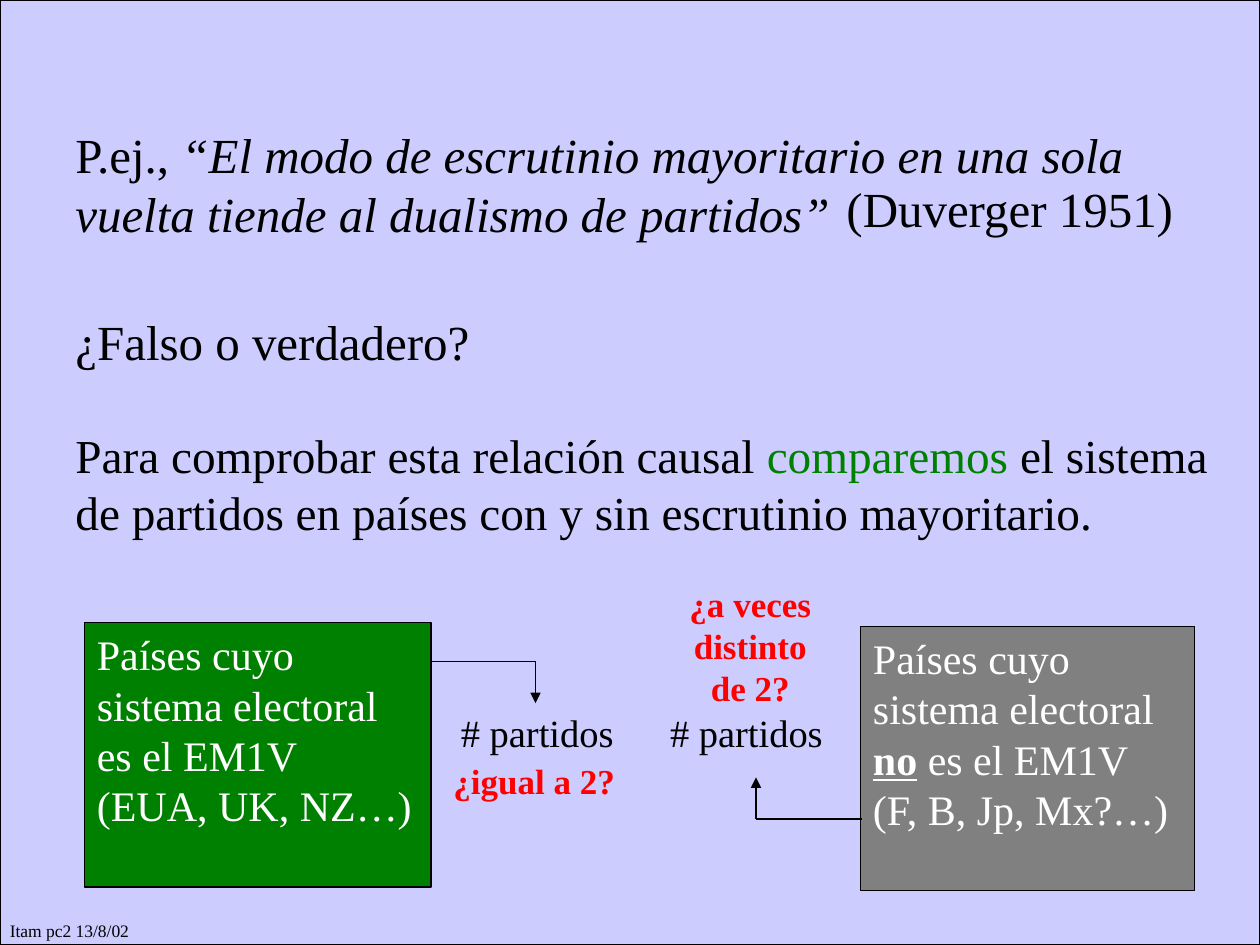
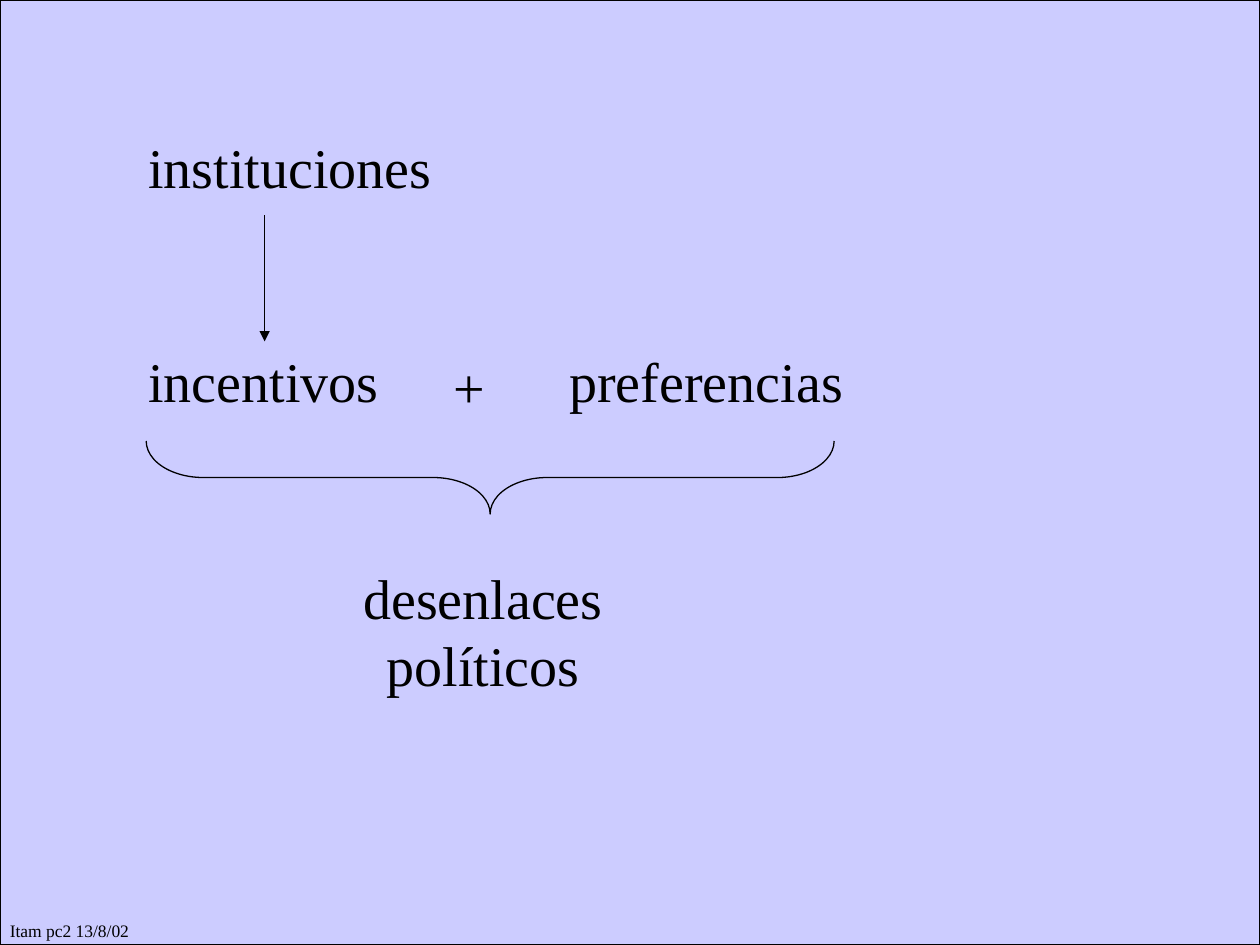
from dataclasses import dataclass

from lxml.etree import SubElement
from pptx import Presentation
from pptx.dml.color import RGBColor
from pptx.enum.shapes import MSO_CONNECTOR as Connector, MSO_SHAPE as Shape
from pptx.enum.text import MSO_ANCHOR as Anchor, PP_ALIGN as Align
from pptx.oxml.ns import qn
from pptx.util import Inches, Pt


@dataclass(frozen=True)
class Theme:
    font: str = "Times New Roman"
    background: str = "CCCCFF"
    ink: str = "000000"
    white: str = "FFFFFF"
    green: str = "008000"
    gray: str = "808080"
    red: str = "FF0000"
    footer: int = 10
    answer: int = 20
    label: int = 22
    country: int = 24
    detail: int = 27
    body: int = 28
    concept: int = 32
    leading: float = 1.2
    line: float = 0.75


THEME = Theme()

# Content: a paragraph is a list of (text, style) runs; "\n" breaks a line
FOOTER = "Itam pc2 13/8/02"
QUOTE = [[
    ("P.ej.,", {}),
    (" “El modo de escrutinio mayoritario en una sola vuelta "
     "tiende al dualismo de partidos”", {"italic": True}),
]]
CITATION = [[("(Duverger 1951)", {})]]
QUESTION = [
    [("¿Falso o verdadero?", {})],
    [("Para comprobar esta relación causal ", {"size": THEME.detail}),
     ("comparemos", {"size": THEME.detail, "color": THEME.green}),
     (" el sistema de partidos en países con y sin escrutinio mayoritario.",
      {"size": THEME.detail})],
]
COUNTRIES = [
    ((0.67, 4.94, 2.75, 2.1), THEME.green,
     [[("Países cuyo\nsistema electoral\nes el EM1V\n(EUA, UK, NZ…)", {})]]),
    ((6.83, 4.97, 2.65, 2.1), THEME.gray,
     [[("Países cuyo\nsistema electoral\n", {}),
       ("no", {"bold": True, "underline": True}),
       (" es el EM1V\n(F, B, Jp, Mx?…)", {})]]),
]
PARTY_LABEL = "# partidos"
PARTY_LEFTS = (3.56, 5.22)
ANSWERS = [
    ((3.5, 5.98, 1.58, 0.44), "¿igual a 2?", Align.LEFT),
    ((5.33, 4.57, 1.25, 1.1), "¿a veces distinto\nde 2?", Align.CENTER),
]
# Each elbow runs start, corner, arrow tip
ELBOWS = [
    ((3.42, 5.25), (4.25, 5.25), (4.25, 5.58)),
    ((6.84, 6.5), (6, 6.5), (6, 6.17)),
]
CONCEPTS = [
    ((1.08, 1, 2.67, 0.64), "instituciones", Align.LEFT),
    ((1.08, 2.7, 2.33, 0.64), "incentivos", Align.LEFT),
    ((4.42, 2.7, 2.67, 0.64), "preferencias", Align.LEFT),
    ((3.5, 2.75, 0.5, 0.64), "+", Align.LEFT),
    ((2.5, 4.42, 2.67, 1.17), "desenlaces políticos", Align.CENTER),
]


def color(value):
    return RGBColor.from_string(value)


def place(box):
    return [Inches(length) for length in box]


def write(frame, paragraphs, size, ink=THEME.ink, align=Align.LEFT, gap=0):
    """Fill a text frame run by run."""
    frame.word_wrap = True
    frame.vertical_anchor = Anchor.TOP
    for index, runs in enumerate(paragraphs):
        paragraph = frame.add_paragraph() if index else frame.paragraphs[0]
        paragraph.alignment = align
        paragraph_size = runs[0][1].get("size", size)
        paragraph.line_spacing = Pt(paragraph_size * THEME.leading)
        if index:
            paragraph.space_before = Pt(gap)
        for text, style in runs:
            for number, piece in enumerate(text.split("\n")):
                if number:
                    paragraph.add_line_break()
                if not piece:
                    continue
                run = paragraph.add_run()
                run.text = piece
                font = run.font
                font.name = THEME.font
                font.size = Pt(style.get("size", size))
                font.color.rgb = color(style.get("color", ink))
                font.bold = style.get("bold", False)
                font.italic = style.get("italic", False)
                font.underline = style.get("underline", False)


def add_text(slide, box, paragraphs, size, **options):
    text_box = slide.shapes.add_textbox(*place(box))
    write(text_box.text_frame, paragraphs, size, **options)


def add_outlined(slide, kind, box, fill=None):
    shape = slide.shapes.add_shape(kind, *place(box))
    shape.shadow.inherit = False
    if fill:
        shape.fill.solid()
        shape.fill.fore_color.rgb = color(fill)
    else:
        shape.fill.background()
    shape.line.color.rgb = color(THEME.ink)
    shape.line.width = Pt(THEME.line)
    return shape


def add_line(slide, start, end, arrow=False):
    line = slide.shapes.add_connector(Connector.STRAIGHT, *place(start + end))
    line.line.color.rgb = color(THEME.ink)
    line.line.width = Pt(THEME.line)
    if arrow:
        SubElement(line.line._get_or_add_ln(), qn("a:tailEnd"), type="triangle")
    SubElement(line._element.spPr, qn("a:effectLst"))


def new_slide(presentation):
    """Blank slide with the shared background and footer."""
    slide = presentation.slides.add_slide(presentation.slide_layouts[6])
    add_outlined(slide, Shape.RECTANGLE, (0, 0, 10, 7.5), THEME.background)
    add_text(slide, (-0.02, 7.25, 1.33, 0.27), [[(FOOTER, {})]], THEME.footer)
    return slide


def build_comparison(presentation):
    slide = new_slide(presentation)
    # Quotation and question
    add_text(slide, (0.5, 0.94, 9.25, 1.04), QUOTE, THEME.body)
    add_text(slide, (6.62, 1.37, 2.9, 0.57), CITATION, THEME.body)
    add_text(slide, (0.5, 2.42, 9.25, 1.92), QUESTION, THEME.body,
             gap=THEME.detail * THEME.leading)
    # Country groups
    for box, fill, paragraphs in COUNTRIES:
        group = add_outlined(slide, Shape.RECTANGLE, box, fill)
        write(group.text_frame, paragraphs, THEME.country, ink=THEME.white)
    # Number of parties, with arrows and tentative answers
    for left in PARTY_LEFTS:
        add_text(slide, (left, 5.58, 1.5, 0.47), [[(PARTY_LABEL, {})]],
                 THEME.label)
    for start, corner, tip in ELBOWS:
        add_line(slide, start, corner)
        add_line(slide, corner, tip, arrow=True)
    for box, text, align in ANSWERS:
        add_text(slide, box, [[(text, {"bold": True})]], THEME.answer,
                 ink=THEME.red, align=align)


def build_concepts(presentation):
    slide = new_slide(presentation)
    for box, text, align in CONCEPTS:
        add_text(slide, box, [[(text, {})]], THEME.concept, align=align)
    # Brace that joins incentives and preferences
    brace = add_outlined(slide, Shape.RIGHT_BRACE, (3.6, 1.06, 0.58, 5.46))
    brace.rotation = 90
    brace.adjustments[0] = 0.78
    brace.adjustments[1] = 0.5
    add_line(slide, (2.1, 1.71), (2.1, 2.71), arrow=True)


def main():
    presentation = Presentation()
    presentation.slide_width = Inches(10)
    presentation.slide_height = Inches(7.5)
    build_comparison(presentation)
    build_concepts(presentation)
    presentation.save("out.pptx")


if __name__ == "__main__":
    main()
